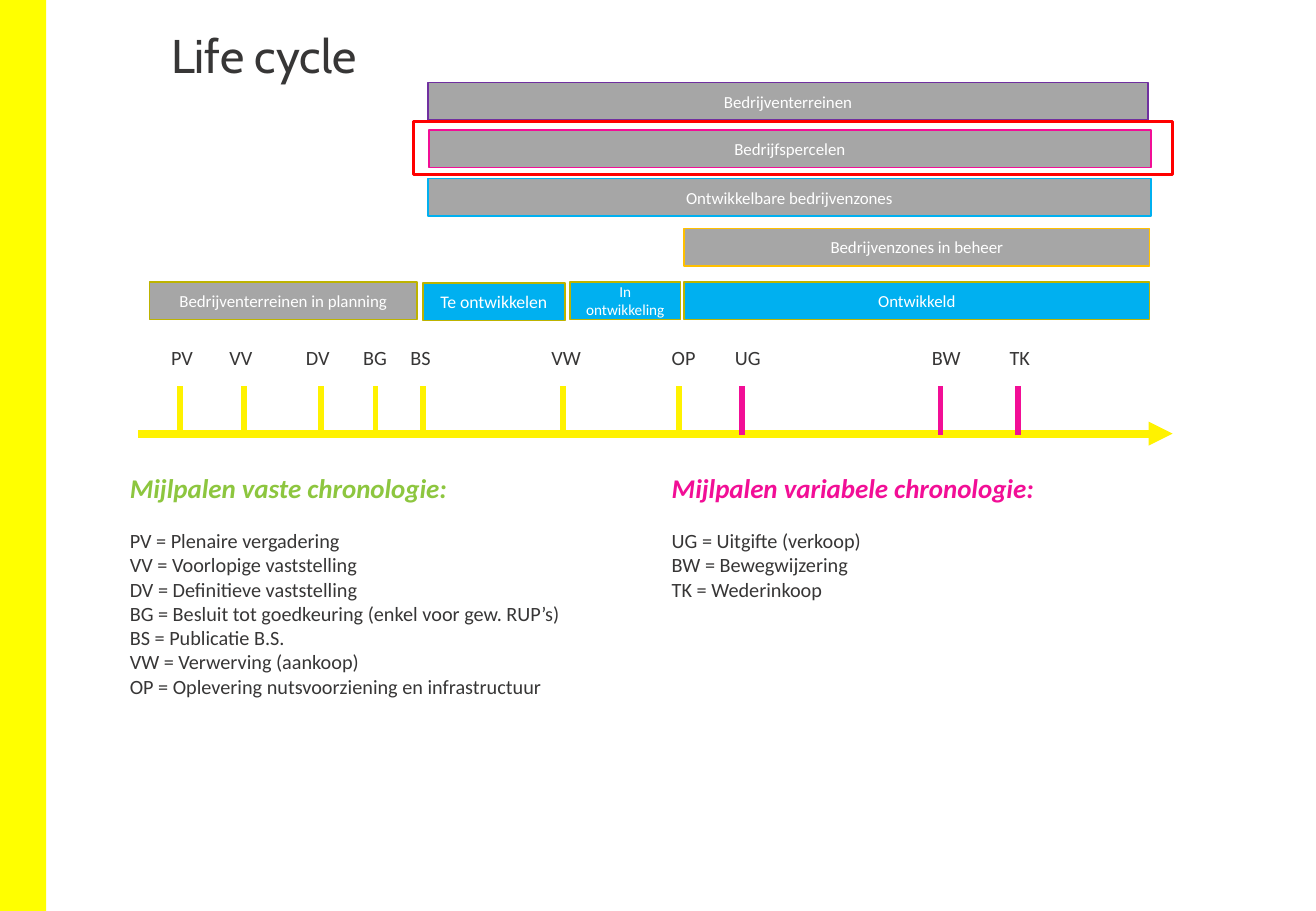
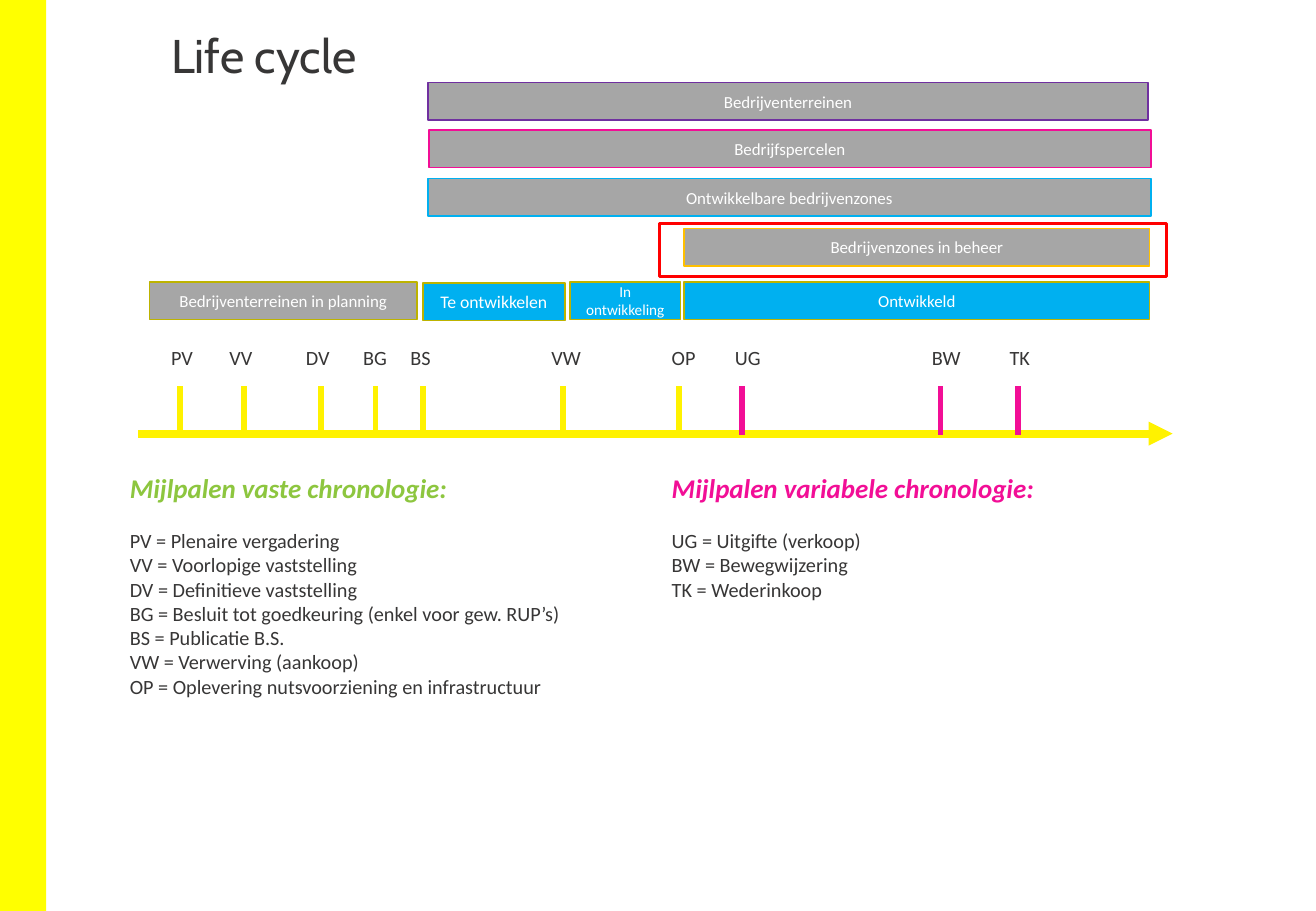
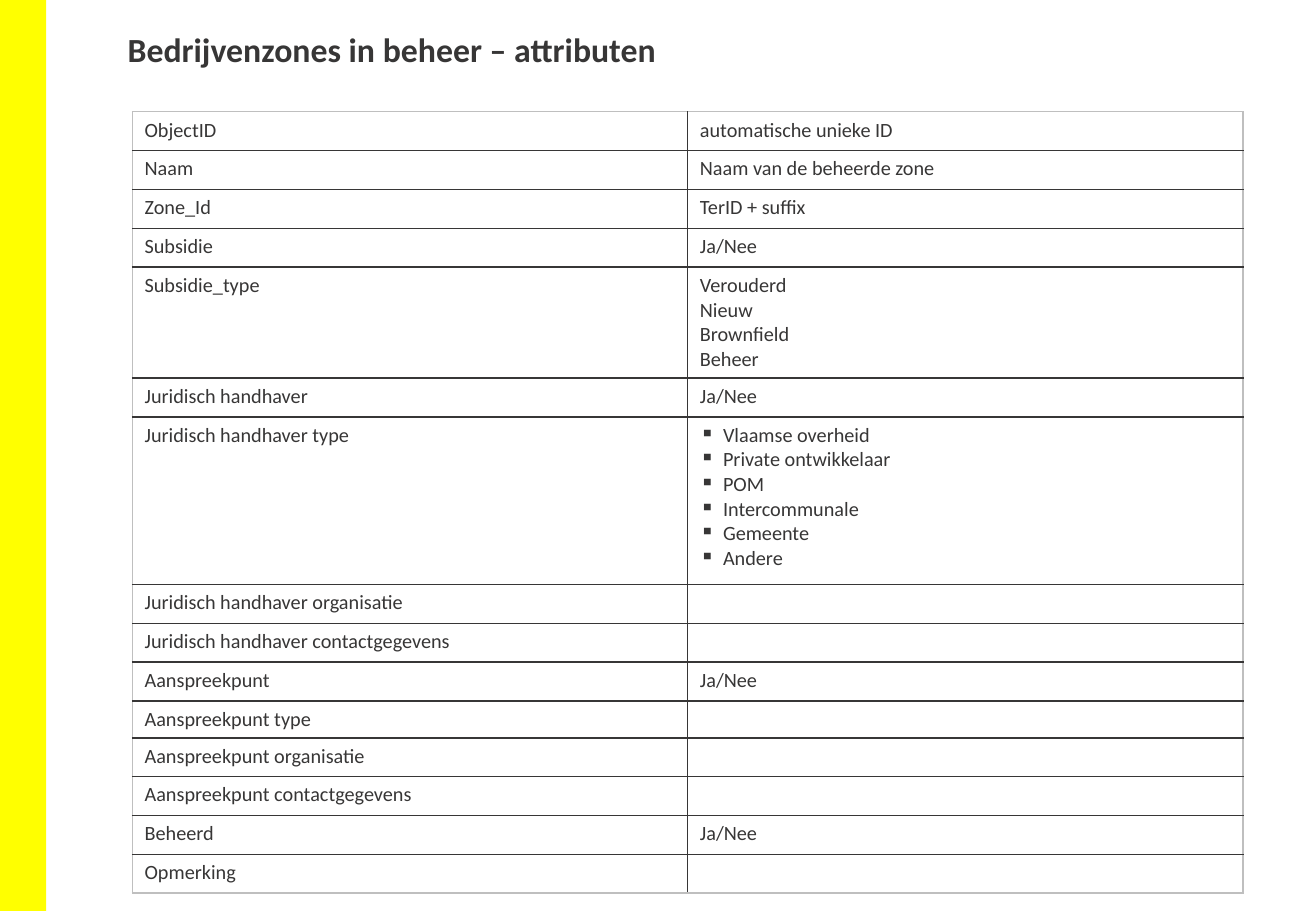
from lxml.etree import SubElement
from pptx import Presentation
from pptx.dml.color import RGBColor
from pptx.enum.shapes import MSO_CONNECTOR, MSO_SHAPE
from pptx.enum.text import MSO_ANCHOR, MSO_AUTO_SIZE, PP_ALIGN
from pptx.oxml.ns import qn
from pptx.util import Inches, Pt

INK, WHITE, GREY = "373636", "FFFFFF", "A6A6A6"
BLUE, OLIVE, YELLOW = "00B0F0", "BDB300", "FFF200"
MAGENTA, GREEN, RED = "F20E96", "8DC63F", "FF0000"
BAND_YELLOW, TABLE_EDGE = "FFFF00", "BFBFBF"


def rgb(hex_colour):
    return RGBColor.from_string(hex_colour)


def write(paragraph, text, size=12, colour=INK, name="Calibri", bold=False, italic=False):
    """Append a formatted run to the paragraph."""
    run = paragraph.add_run()
    run.text = text
    font = run.font
    font.name, font.size, font.bold, font.italic = name, Pt(size), bold, italic
    font.color.rgb = rgb(colour)


prs = Presentation()
prs.slide_width, prs.slide_height = Inches(10.83), Inches(7.5)

# Slides and titles: text, left, top, width, height, size, font, bold, line spacing
titles = [
    ("Life cycle", 1.31, 0.22, 8.11, 0.72, 28, "Cabin", False, 0.9),
    ("Life cycle", 1.31, 0.22, 8.11, 0.72, 28, "Cabin", False, 0.9),
    ("Bedrijvenzones in beheer – attributen", 0.95, 0.19, 9.15, 0.44, 20, "Calibri", True, 1.0),
]
slides = []
for text, left, top, width, height, size, name, bold, spacing in titles:
    slide = prs.slides.add_slide(prs.slide_layouts[5])
    slides.append(slide)
    title = slide.shapes.title
    title.left, title.top = Inches(left), Inches(top)
    title.width, title.height = Inches(width), Inches(height)
    frame = title.text_frame
    frame.auto_size = MSO_AUTO_SIZE.NONE
    frame.vertical_anchor = MSO_ANCHOR.TOP
    heading = frame.paragraphs[0]
    heading.alignment, heading.line_spacing = PP_ALIGN.LEFT, spacing
    write(heading, text, size, INK, name, bold)

# The side band is drawn once and moved to the master
band = slides[0].shapes.add_shape(MSO_SHAPE.RECTANGLE, 0, 0, Inches(0.38), prs.slide_height)
band.shadow.inherit = False
band.fill.solid()
band.fill.fore_color.rgb = rgb(BAND_YELLOW)
band.line.fill.background()
prs.slide_master.shapes.element.insert(2, band.element)

# Life cycle: text, left, top, width, fill, outline, size
BAR_HEIGHT = 0.31
bars = [
    ("Bedrijventerreinen", 3.52, 0.68, 5.93, GREY, "7030A0", 10),
    ("Bedrijfspercelen", 3.53, 1.07, 5.94, GREY, MAGENTA, 10),
    ("Ontwikkelbare bedrijvenzones", 3.52, 1.47, 5.95, GREY, BLUE, 10),
    ("Bedrijvenzones in beheer", 5.63, 1.88, 3.83, GREY, "FFC000", 10),
    ("Bedrijventerreinen in planning", 1.23, 2.32, 2.2, GREY, OLIVE, 10),
    ("Te ontwikkelen", 3.48, 2.33, 1.17, BLUE, OLIVE, 10.5),
    ("In ontwikkeling", 4.69, 2.32, 0.91, BLUE, OLIVE, 9),
    ("Ontwikkeld", 5.63, 2.32, 3.83, BLUE, OLIVE, 10),
]
# Code, position on the axis, left of the label, colour
milestones = [
    ("PV", 1.48, 1.31, YELLOW),
    ("VV", 2.01, 1.79, YELLOW),
    ("DV", 2.64, 2.42, YELLOW),
    ("BG", 3.09, 2.89, YELLOW),
    ("BS", 3.48, 3.28, YELLOW),
    ("VW", 4.63, 4.44, YELLOW),
    ("OP", 5.59, 5.43, YELLOW),
    ("UG", 6.11, 5.95, MAGENTA),
    ("BW", 7.74, 7.57, MAGENTA),
    ("TK", 8.38, 8.21, MAGENTA),
]
AXIS_Y, TICK_TOP, TICK_BOTTOM, LABEL_TOP = 3.57, 3.18, 3.58, 2.79
# Start x, start y, end x, end y, colour, width
timeline = [(1.14, AXIS_Y, 9.65, AXIS_Y, YELLOW, 4.75)]
timeline += [(x, TICK_TOP, x, TICK_BOTTOM, colour, 3.5) for _, x, _, colour in milestones]

# Heading, colour, left, height, entries
legends = [
    ("Mijlpalen vaste chronologie:", GREEN, 0.97, 1.99, [
        "PV = Plenaire vergadering",
        "VV = Voorlopige vaststelling",
        "DV = Definitieve vaststelling",
        "BG = Besluit tot goedkeuring (enkel voor gew. RUP’s)",
        "BS = Publicatie B.S.",
        "VW = Verwerving (aankoop)",
        "OP = Oplevering nutsvoorziening en infrastructuur",
    ]),
    ("Mijlpalen variabele chronologie:", MAGENTA, 5.43, 1.18, [
        "UG = Uitgifte (verkoop)",
        "BW = Bewegwijzering",
        "TK = Wederinkoop",
    ]),
]
# Left, top and width of the red frame on each life cycle slide
highlights = [(3.4, 1.0, 6.25), (5.43, 1.84, 4.17)]

for slide, (frame_left, frame_top, frame_width) in zip(slides, highlights):
    shapes = slide.shapes
    for x1, y1, x2, y2, colour, weight in timeline:
        line = shapes.add_connector(MSO_CONNECTOR.STRAIGHT, Inches(x1), Inches(y1), Inches(x2), Inches(y2))
        line.line.color.rgb = rgb(colour)
        line.line.width = Pt(weight)
        if y1 == y2:
            SubElement(line.line._get_or_add_ln(), qn("a:tailEnd"), type="triangle")
        SubElement(line.element.spPr, qn("a:effectLst"))

    for code, _, left, _ in milestones:
        label = shapes.add_textbox(Inches(left), Inches(LABEL_TOP), Inches(0.5), Inches(0.3))
        label.text_frame.word_wrap = True
        write(label.text_frame.paragraphs[0], code)

    for text, left, top, width, fill, outline, size in bars:
        bar = shapes.add_shape(MSO_SHAPE.RECTANGLE, Inches(left), Inches(top), Inches(width), Inches(BAR_HEIGHT))
        bar.shadow.inherit = False
        bar.fill.solid()
        bar.fill.fore_color.rgb = rgb(fill)
        bar.line.color.rgb = rgb(outline)
        bar.line.width = Pt(1)
        bar.text_frame.vertical_anchor = MSO_ANCHOR.MIDDLE
        caption = bar.text_frame.paragraphs[0]
        caption.alignment = PP_ALIGN.CENTER
        write(caption, text, size, WHITE)

    for text, colour, left, height, entries in legends:
        legend = shapes.add_textbox(Inches(left), Inches(3.83), Inches(4.17), Inches(height)).text_frame
        legend.word_wrap = True
        write(legend.paragraphs[0], text, 16, colour, bold=True, italic=True)
        for number, entry in enumerate(entries):
            paragraph = legend.add_paragraph()
            if number == 0:
                paragraph.space_before = Pt(14.6)
            write(paragraph, entry)

    highlight = shapes.add_shape(MSO_SHAPE.RECTANGLE, Inches(frame_left), Inches(frame_top),
                                 Inches(frame_width), Inches(0.44))
    highlight.shadow.inherit = False
    highlight.fill.background()
    highlight.line.color.rgb = rgb(RED)
    highlight.line.width = Pt(1.75)

# Attributes: name, lines of the value, row height
attributes = [
    ("ObjectID", ["automatische unieke ID"], 0.32),
    ("Naam", ["Naam van de beheerde zone"], 0.32),
    ("Zone_Id", ["TerID + suffix"], 0.32),
    ("Subsidie", ["Ja/Nee"], 0.32),
    ("Subsidie_type", ["Verouderd", "Nieuw", "Brownfield", "Beheer"], 0.9),
    ("Juridisch handhaver", ["Ja/Nee"], 0.32),
    ("Juridisch handhaver type", ["Vlaamse overheid", "Private ontwikkelaar", "POM",
                                  "Intercommunale", "Gemeente", "Andere"], 1.38),
    ("Juridisch handhaver organisatie", [], 0.32),
    ("Juridisch handhaver contactgegevens", [], 0.32),
    ("Aanspreekpunt", ["Ja/Nee"], 0.32),
    ("Aanspreekpunt type", [], 0.3),
    ("Aanspreekpunt organisatie", [], 0.32),
    ("Aanspreekpunt contactgegevens", [], 0.32),
    ("Beheerd", ["Ja/Nee"], 0.32),
    ("Opmerking", [], 0.32),
]
BULLETED = "Juridisch handhaver type"
last_row = len(attributes) - 1
total_height = sum(height for _, _, height in attributes)
table = slides[2].shapes.add_table(len(attributes), 2, Inches(1.09), Inches(0.92),
                                   Inches(9.14), Inches(total_height)).table
table.first_row = table.horz_banding = False

for row, (attribute, values, height) in enumerate(attributes):
    table.rows[row].height = Inches(height)
    for column, lines in enumerate([[attribute], values]):
        cell = table.cell(row, column)
        properties = cell._tc.get_or_add_tcPr()
        outer_edges = [("a:lnL", column == 0), ("a:lnR", column == 1),
                       ("a:lnT", row == 0), ("a:lnB", row == last_row)]
        for side, is_outer in outer_edges:
            border = SubElement(properties, qn(side), w=str(Pt(1)))
            stroke = SubElement(border, qn("a:solidFill"))
            SubElement(stroke, qn("a:srgbClr"), val=TABLE_EDGE if is_outer else INK)
        cell.fill.solid()
        cell.fill.fore_color.rgb = rgb(WHITE)

        for number, text in enumerate(lines):
            content = cell.text_frame
            paragraph = content.add_paragraph() if number else content.paragraphs[0]
            if column == 1 and attribute == BULLETED:
                indent = Inches(0.19)
                bullet = paragraph._p.get_or_add_pPr()
                bullet.set("marL", str(indent))
                bullet.set("indent", str(-indent))
                SubElement(bullet, qn("a:buChar"), char="▪")
            write(paragraph, text)
        if not lines:
            SubElement(cell.text_frame.paragraphs[0]._p, qn("a:endParaRPr"), sz="1200")

prs.save("out.pptx")
